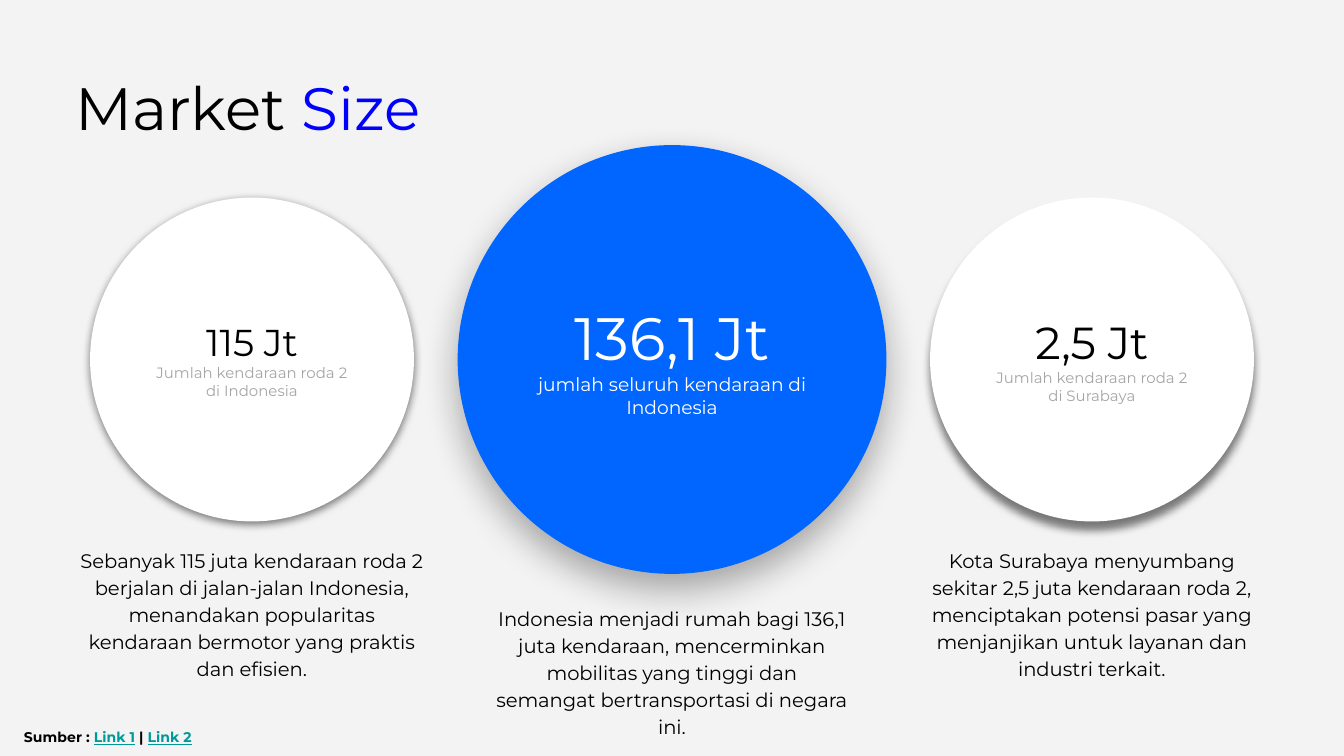
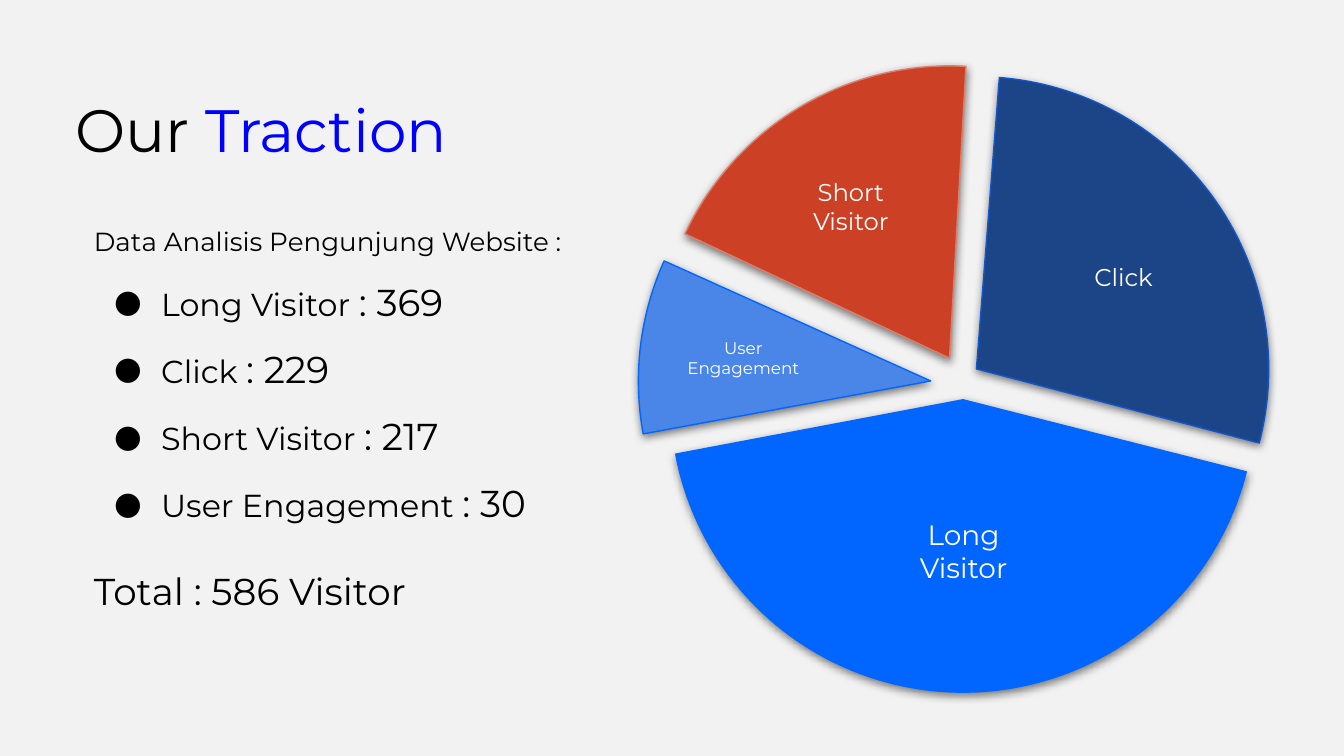
import pptx
import pptx.util
import pptx.dml.color
import pptx.enum.shapes
import pptx.enum.text
import pptx.oxml
import pptx.oxml.ns
from lxml import etree

RGB = pptx.dml.color.RGBColor
SHAPE = pptx.enum.shapes.MSO_SHAPE
LEFT = pptx.enum.text.PP_ALIGN.LEFT
CENTER = pptx.enum.text.PP_ALIGN.CENTER
TOP = pptx.enum.text.MSO_ANCHOR.TOP
MIDDLE = pptx.enum.text.MSO_ANCHOR.MIDDLE
qn = pptx.oxml.ns.qn

FONT = "Montserrat"
BLACK = RGB(0x00, 0x00, 0x00)
WHITE = RGB(0xFF, 0xFF, 0xFF)
GREY = RGB(0xA5, 0xA5, 0xA5)
ACCENT = RGB(0x00, 0x00, 0xFF)
BLUE = RGB(0x00, 0x66, 0xFF)
LIGHT_BLUE = RGB(0x4A, 0x86, 0xE8)
NAVY = RGB(0x1C, 0x45, 0x87)
NAVY_EDGE = RGB(0x11, 0x55, 0xCC)
RED = RGB(0xCC, 0x41, 0x25)
RED_EDGE = RGB(0xDD, 0x7E, 0x6B)
TEAL = RGB(0x00, 0x99, 0x99)

prs = pptx.Presentation()
prs.slide_width = pptx.util.Inches(10)
prs.slide_height = pptx.util.Inches(5.625)
COL = prs.slide_width / 100
ROW = prs.slide_height / 56.25


def write(sp, paragraphs, size=10, color=BLACK, align=LEFT, anchor=TOP, spacing=1.0, bold=False):
    tf = sp.text_frame
    tf.word_wrap = True
    tf.vertical_anchor = anchor
    for i, runs in enumerate(paragraphs):
        p = tf.paragraphs[0] if i == 0 else tf.add_paragraph()
        p.alignment = align
        p.line_spacing = spacing
        for text, style in runs:
            r = p.add_run()
            r.text = text
            r.font.name = FONT
            r.font.size = pptx.util.Pt(style.get("size", size))
            r.font.color.rgb = style.get("color", color)
            r.font.bold = bold
            r.font.underline = style.get("underline", False)
    return tf


def place(s, x, y, w, h, kind=None, fill=None, edge=None, alpha=50, blur=4.5, dist=1.5):
    box = [int(x * COL), int(y * ROW), int(w * COL), int(h * ROW)]
    if kind is None:
        return s.shapes.add_textbox(*box)
    sp = s.shapes.add_shape(kind, *box)
    sp.fill.solid()
    sp.fill.fore_color.rgb = fill
    if edge is None:
        sp.line.fill.background()
    else:
        sp.line.color.rgb = edge
        sp.line.width = pptx.util.Pt(0.75)
    sp.shadow.inherit = False
    effects = sp._element.spPr.find(qn("a:effectLst"))
    shadow = etree.SubElement(
        effects, qn("a:outerShdw"), blurRad=str(pptx.util.Pt(blur)),
        dist=str(pptx.util.Pt(dist)), dir="5400000", algn="bl", rotWithShape="0")
    tint = etree.SubElement(shadow, qn("a:srgbClr"), val="000000")
    etree.SubElement(tint, qn("a:alpha"), val=str(alpha * 1000))
    return sp


slides = []
for background, plain, accent, title_height in [
    (RGB(0xF3, 0xF3, 0xF3), "Market ", "Size", 7.9),
    (RGB(0xF2, 0xF2, 0xF2), "Our ", "Traction", 11.1),
]:
    s = prs.slides.add_slide(prs.slide_layouts[6])
    s.background.fill.solid()
    s.background.fill.fore_color.rgb = background
    write(place(s, 4.6, 4, 35.2, title_height),
          [[(plain, {}), (accent, {"color": ACCENT})]], size=32, anchor=MIDDLE)
    slides.append(s)
market, traction = slides

DISC_MIDDLE = 26.75
CAPTION_WIDTH = 28.3
discs = [
    (50, 31.9, 1.7, BLUE, dict(alpha=33, blur=20, dist=8.2),
     "136,1 Jt", 32, WHITE, "jumlah seluruh kendaraan di Indonesia", 10, WHITE,
     "Indonesia menjadi rumah bagi 136,1 juta kendaraan, mencerminkan mobilitas "
     "yang tinggi dan semangat bertransportasi di negara ini."),
    (18.75, 24.1, 1.3, WHITE, dict(dist=1.5),
     "115 Jt", 20, BLACK, "Jumlah kendaraan roda 2 di Indonesia", 8, GREY,
     "Sebanyak 115 juta kendaraan roda 2 berjalan di jalan-jalan Indonesia, "
     "menandakan popularitas kendaraan bermotor yang praktis dan efisien."),
    (81.25, 24.1, 1.3, WHITE, dict(dist=4.5),
     "2,5 Jt", 24, BLACK, "Jumlah kendaraan roda 2 di Surabaya", 8, GREY,
     "Kota Surabaya menyumbang sekitar 2,5 juta kendaraan roda 2, menciptakan "
     "potensi pasar yang menjanjikan untuk layanan dan industri terkait."),
]
for (center, diameter, gap, fill, shadow, figure, figure_size, figure_color,
     label, label_size, label_color, caption) in discs:
    radius = diameter / 2
    write(place(market, center - CAPTION_WIDTH / 2, DISC_MIDDLE + radius + gap, CAPTION_WIDTH, 8.7),
          [[(caption, {})]], size=10.5, align=CENTER, spacing=1.15)
    disc = place(market, center - radius, DISC_MIDDLE - radius, diameter, diameter,
                 SHAPE.OVAL, fill, **shadow)
    write(disc, [[(figure, {"size": figure_size, "color": figure_color})],
                 [(label, {"size": label_size, "color": label_color})]],
          align=CENTER, anchor=MIDDLE)

link = {"color": TEAL, "underline": True}
write(place(market, 0.8, 53.1, 100, 2.3),
      [[("Sumber : ", {}), ("Link 1", link), (" | ", {}), ("Link 2", link)]],
      size=7.5, spacing=1.5, bold=True)

PIE_SIZE = 43.5
for x, y, start, end, fill, edge in [
    (49.9, 8, 14.26, 169.29, BLUE, BLUE),
    (47.5, 6.6, 169.57, 204.25, LIGHT_BLUE, BLUE),
    (48.9, 4.9, 205.18, 273.22, RED, RED_EDGE),
    (50.9, 5.7, 274.51, 14.69, NAVY, NAVY_EDGE),
]:
    wedge = place(traction, x, y, PIE_SIZE, PIE_SIZE, SHAPE.PIE, fill, edge)
    wedge.adjustments[0] = start * 0.6
    wedge.adjustments[1] = end * 0.6

for x, y, w, h, label, size, anchor in [
    (65.3, 36.2, 12.8, 9.6, "Long Visitor", 15, MIDDLE),
    (76.1, 19, 15, 3.4, "Click", 13, TOP),
    (56.9, 12.7, 12.8, 4.5, "Short Visitor", 13, TOP),
    (48.9, 24.6, 12.8, 4.5, "User Engagement", 9, TOP),
]:
    write(place(traction, x, y, w, h), [[(label, {})]],
          size=size, color=WHITE, align=CENTER, anchor=anchor)

counts = [("Long Visitor", 369), ("Click", 229), ("Short Visitor", 217), ("User Engagement", 30)]
lines = [[("Data Analisis Pengunjung Website :", {"size": 14})]]
lines += [[(f"{name} ", {"size": 17}), (f": {count}", {})] for name, count in counts]
lines += [[("Total : 586 Visitor", {})]]
tf = write(place(traction, 6, 15.1, 39.8, 34.2), lines, size=20, spacing=1.5)
for p in tf.paragraphs[1:-1]:
    pPr = p._p.get_or_add_pPr()
    pPr.set("marL", str(pptx.util.Inches(0.5)))
    pPr.set("indent", str(pptx.util.Inches(-0.35)))
    bullet_color = etree.SubElement(pPr, qn("a:buClr"))
    etree.SubElement(bullet_color, qn("a:srgbClr"), val="000000")
    etree.SubElement(pPr, qn("a:buSzPts"), val="2000")
    etree.SubElement(pPr, qn("a:buFont"), typeface=FONT)
    etree.SubElement(pPr, qn("a:buChar"), char="●")
tf.paragraphs[-1].space_before = pptx.util.Pt(11)

prs.save("out.pptx")
